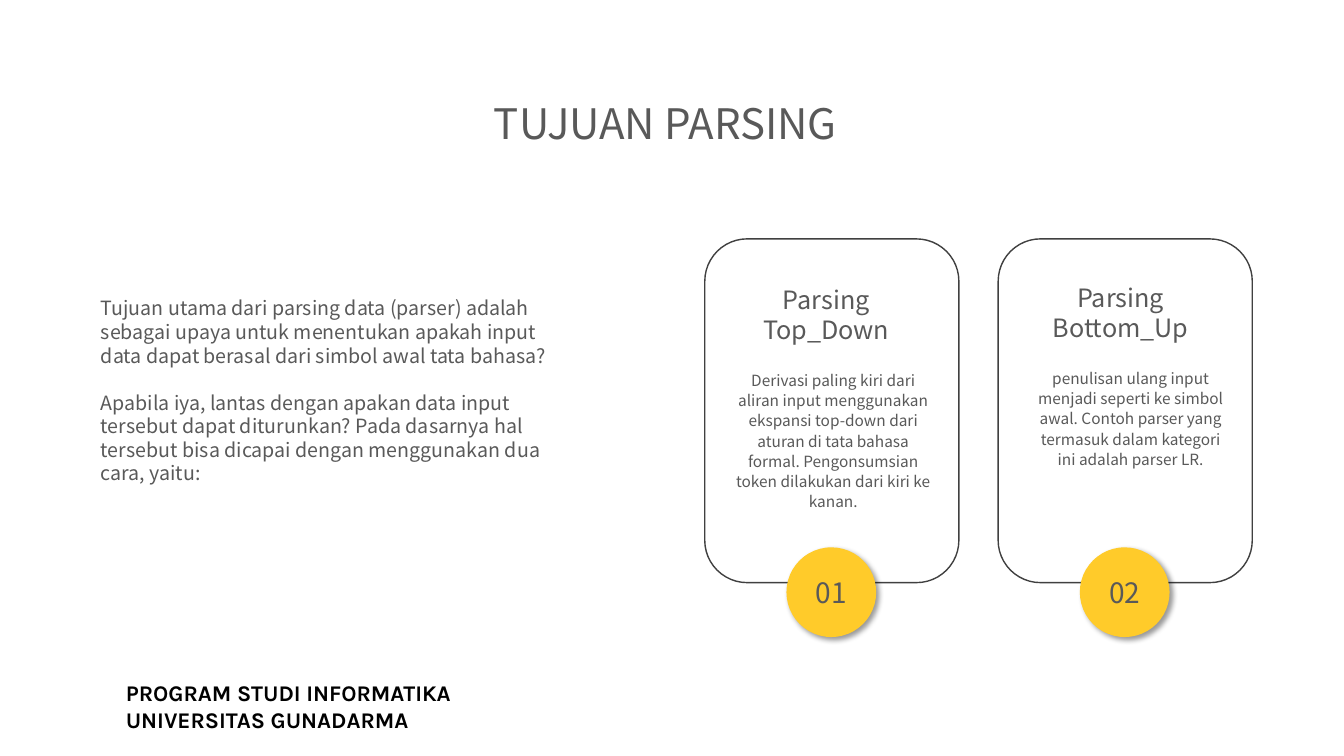
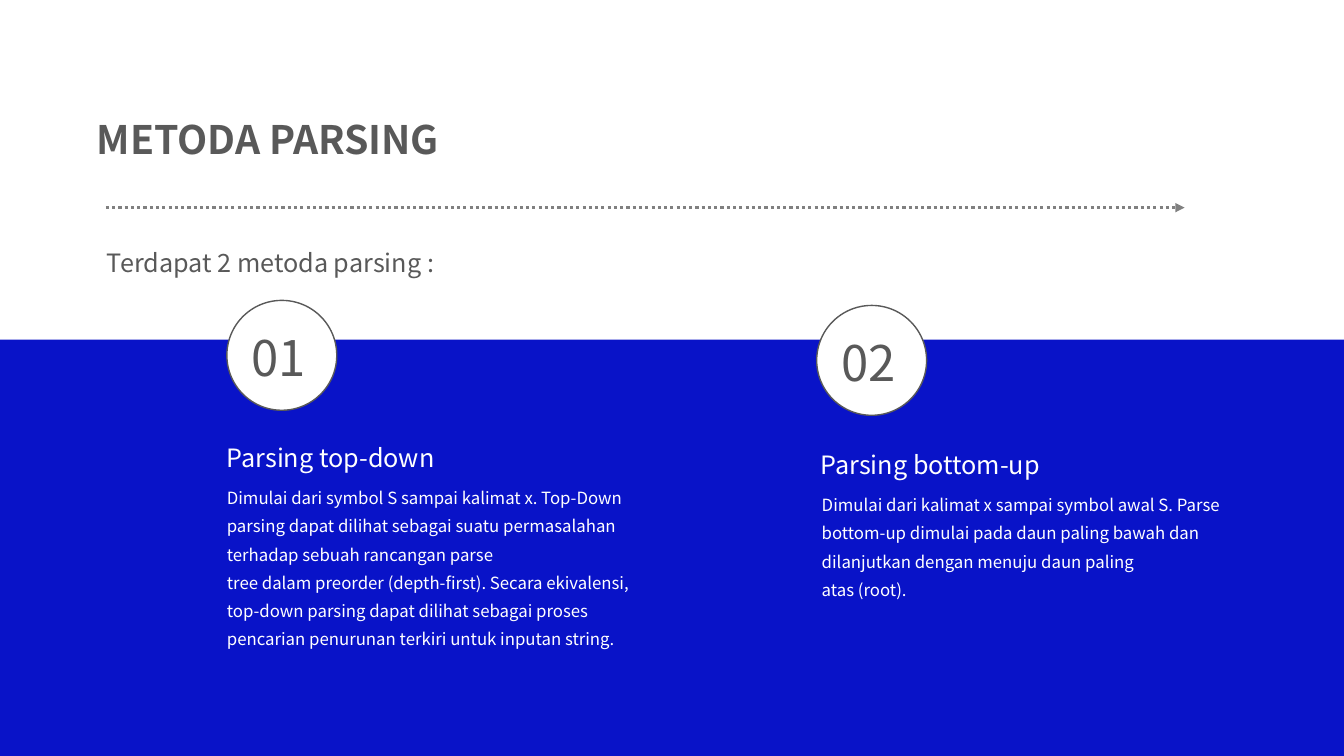
from pptx import Presentation
from pptx.dml.color import RGBColor
from pptx.enum.dml import MSO_LINE_DASH_STYLE as Dash
from pptx.enum.shapes import MSO_CONNECTOR as Conn, MSO_SHAPE as Form
from pptx.enum.text import MSO_ANCHOR as Anchor, MSO_AUTO_SIZE as Auto, PP_ALIGN as Align
from pptx.oxml import parse_xml
from pptx.oxml.ns import nsdecls
from pptx.util import Pt

PX = 9144
WIDE, HIGH = 1333, 750
GRAY, WHITE, BLACK = "595959", "FFFFFF", "000000"
EDGE, RULE, GOLD, BLUE = "404040", "808080", "FFCB2A", "0913C8"
SANS = "Noto Sans CJK SC"
FLUSH = (0, 0, 0, 0)

GOALS = {
    "title": "TUJUAN PARSING",
    "body": [
        "Tujuan utama dari parsing data (parser) adalah sebagai upaya untuk menentukan apakah input data dapat berasal dari simbol awal tata bahasa?",
        "Apabila iya, lantas dengan apakan data input tersebut dapat diturunkan? Pada dasarnya hal tersebut bisa dicapai dengan menggunakan dua cara, yaitu:",
    ],
    "foot": ["PROGRAM STUDI INFORMATIKA", "UNIVERSITAS GUNADARMA"],
    "cards": [
        ("01", "Parsing Top_Down", (718, 277),
         "Derivasi paling kiri dari aliran input menggunakan ekspansi top-down dari aturan di tata bahasa formal. Pengonsumsian token dilakukan dari kiri ke kanan.",
         (720, 361)),
        ("02", "Parsing Bottom_Up", (1010, 275),
         "penulisan ulang input menjadi seperti ke simbol awal. Contoh parser yang termasuk dalam kategori ini adalah parser LR.",
         (1015, 359)),
    ],
}
WAYS = {
    "title": "METODA PARSING",
    "lead": "Terdapat 2 metoda parsing :",
    "parts": [
        ("01", (225, 298), "Parsing top-down", (215, 434), [
            "Dimulai dari symbol S sampai kalimat x. Top-Down parsing dapat dilihat sebagai suatu permasalahan terhadap sebuah rancangan parse",
            "tree dalam preorder (depth-first). Secara ekivalensi, top-down parsing dapat dilihat sebagai proses",
            "pencarian penurunan terkiri untuk inputan string.",
        ], (215, 471, 452, 177)),
        ("02", (810, 303), "Parsing bottom-up", (804, 441), [
            "Dimulai dari kalimat x sampai symbol awal S. Parse bottom-up dimulai pada daun paling bawah dan dilanjutkan dengan menuju daun paling",
            "atas (root).",
        ], (805, 478, 442, 120)),
    ],
}


def color(code):
    return RGBColor.from_string(code)


def scale(nums):
    return [n * PX for n in nums]


def apply(item, vals):
    for key, val in vals.items():
        setattr(item, key, val)


def write(box, lines, size, ink=GRAY, font=SANS, bold=False, side=Align.LEFT,
          lead=1.0, gap=0, pad=(10, 5, 10, 5), hold=Anchor.TOP):
    frame = box.text_frame
    left, top, right, low = scale(pad)
    apply(frame, dict(word_wrap=True, auto_size=Auto.NONE, vertical_anchor=hold,
                      margin_left=left, margin_top=top,
                      margin_right=right, margin_bottom=low))
    for i, line in enumerate(lines):
        para = frame.paragraphs[0] if i == 0 else frame.add_paragraph()
        if box.is_placeholder:
            prop = para._p.get_or_add_pPr()
            prop.set("marL", "0")
            prop.set("indent", "0")
            prop.append(parse_xml(f"<a:buNone {nsdecls('a')}/>"))
        apply(para, dict(alignment=side, line_spacing=lead,
                         space_before=Pt(gap if i else 0), space_after=Pt(0)))
        run = para.add_run()
        run.text = line
        apply(run.font, dict(name=font, size=Pt(size), bold=bold))
        run.font.color.rgb = color(ink)


def place(box, at, lines, size, **look):
    left, top, width, height = scale(at)
    apply(box, dict(left=left, top=top, width=width, height=height))
    write(box, lines, size, **look)


def label(slide, at, lines, size, **look):
    write(slide.shapes.add_textbox(*scale(at)), lines, size, **look)


def shape(slide, form, at, fill, edge=None):
    item = slide.shapes.add_shape(form, *scale(at))
    item.shadow.inherit = False
    item.fill.solid()
    item.fill.fore_color.rgb = color(fill)
    if edge:
        item.line.color.rgb = color(edge)
        item.line.width = Pt(1)
    else:
        item.line.fill.background()
    return item


def shade(item):
    item._element.spPr.find("{*}effectLst").append(parse_xml(
        f'<a:outerShdw {nsdecls("a")} blurRad="{Pt(4)}" dist="{Pt(3)}" '
        f'dir="{45 * 60000}" algn="tl" rotWithShape="0"><a:srgbClr val="{BLACK}">'
        '<a:alpha val="40000"/></a:srgbClr></a:outerShdw>'))


def arrow(slide, ends):
    item = slide.shapes.add_connector(Conn.STRAIGHT, *scale(ends))
    item.line.color.rgb = color(RULE)
    item.line.width = Pt(2.25)
    item.line.dash_style = Dash.ROUND_DOT
    item.line._get_or_add_ln().append(
        parse_xml(f'<a:tailEnd {nsdecls("a")} type="triangle"/>'))
    item._element.spPr.append(parse_xml(f"<a:effectLst {nsdecls('a')}/>"))


def goals(deck):
    slide = deck.slides.add_slide(deck.slide_layouts[1])
    hold = slide.placeholders
    place(hold[0], (415, 92, 490, 60), [GOALS["title"]], 30, side=Align.CENTER)
    place(hold[1], (90, 289, 474, 199), GOALS["body"], 14, gap=17)
    label(slide, (115, 669, 656, 64), GOALS["foot"], 16,
          ink=BLACK, font="Karla", bold=True)
    wide, dot = 252, 89
    for i, (num, head, spot, text, base) in enumerate(GOALS["cards"]):
        left = 699 + 291 * i
        shape(slide, Form.ROUNDED_RECTANGLE, (left, 237, wide, 341), WHITE, EDGE)
        label(slide, (*spot, 203, 71), [head], 18, side=Align.CENTER)
        label(slide, (*base, 213, 151), [text], 11, side=Align.CENTER, lead=1.1)
        disc = shape(slide, Form.OVAL,
                     (left + (wide - dot) // 2, 543, dot, dot), GOLD)
        shade(disc)
        write(disc, [num], 20, side=Align.CENTER,
              pad=(13, 7, 13, 7), hold=Anchor.MIDDLE)


def ways(deck):
    slide = deck.slides.add_slide(deck.slide_layouts[3])
    hold = slide.placeholders
    shape(slide, Form.RECTANGLE, (0, 337, WIDE, HIGH - 337), BLUE)
    place(hold[0], (96, 105, 387, 52), [WAYS["title"]], 28,
          bold=True, lead=1.2, pad=FLUSH)
    arrow(slide, (105, 206, 1175, 206))
    label(slide, (106, 239, 339, 33), [WAYS["lead"]], 18, lead=1.2, pad=FLUSH)
    for i, (num, spot, head, base, text, at) in enumerate(WAYS["parts"], 1):
        disc = shape(slide, Form.OVAL, (*spot, 109, 109), WHITE, GRAY)
        write(disc, [num], 35, side=Align.CENTER, lead=1.2,
              pad=(0, 0, 6, 8), hold=Anchor.MIDDLE)
        label(slide, (*base, 250, 40), [head], 18, ink=WHITE)
        place(hold[i], at, text, 12, ink=WHITE, lead=1.4)
        slide.shapes._spTree.append(hold[i]._element)


def main():
    deck = Presentation()
    apply(deck, dict(slide_width=WIDE * PX, slide_height=HIGH * PX))
    goals(deck)
    ways(deck)
    deck.save("out.pptx")


if __name__ == "__main__":
    main()
